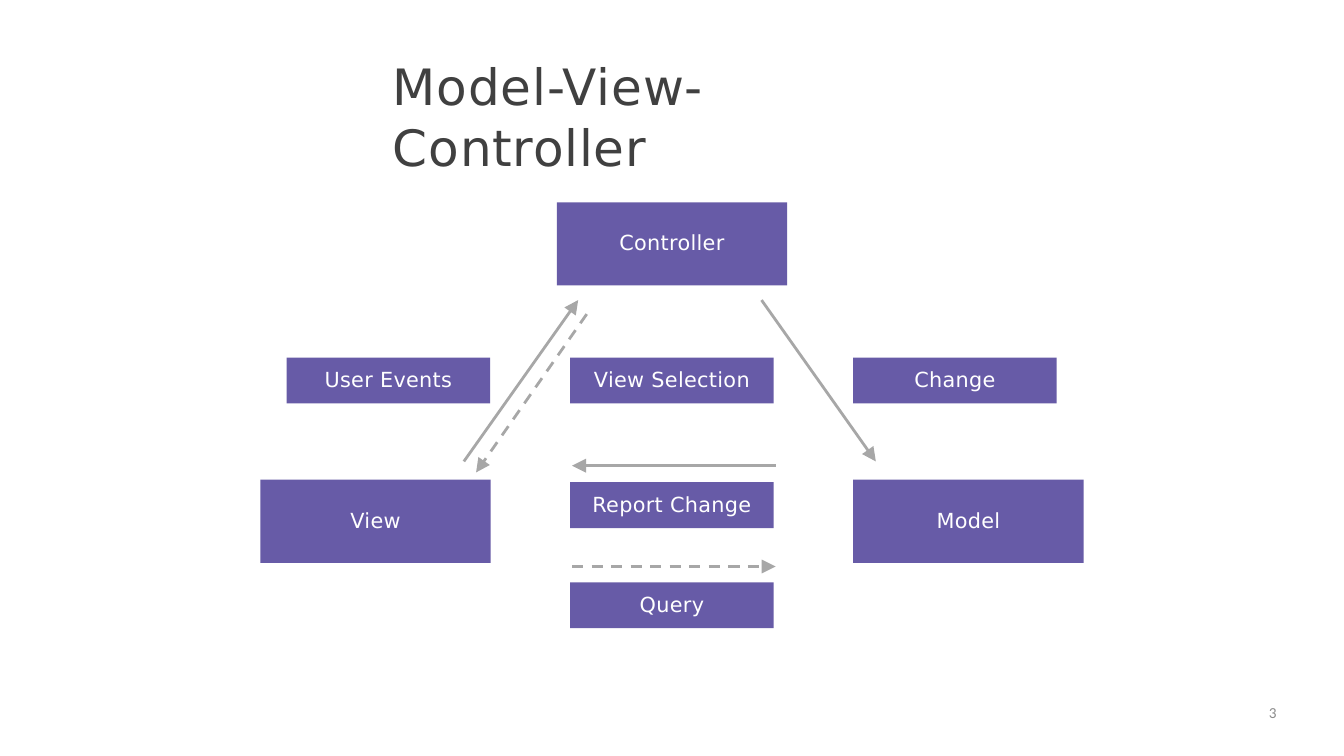
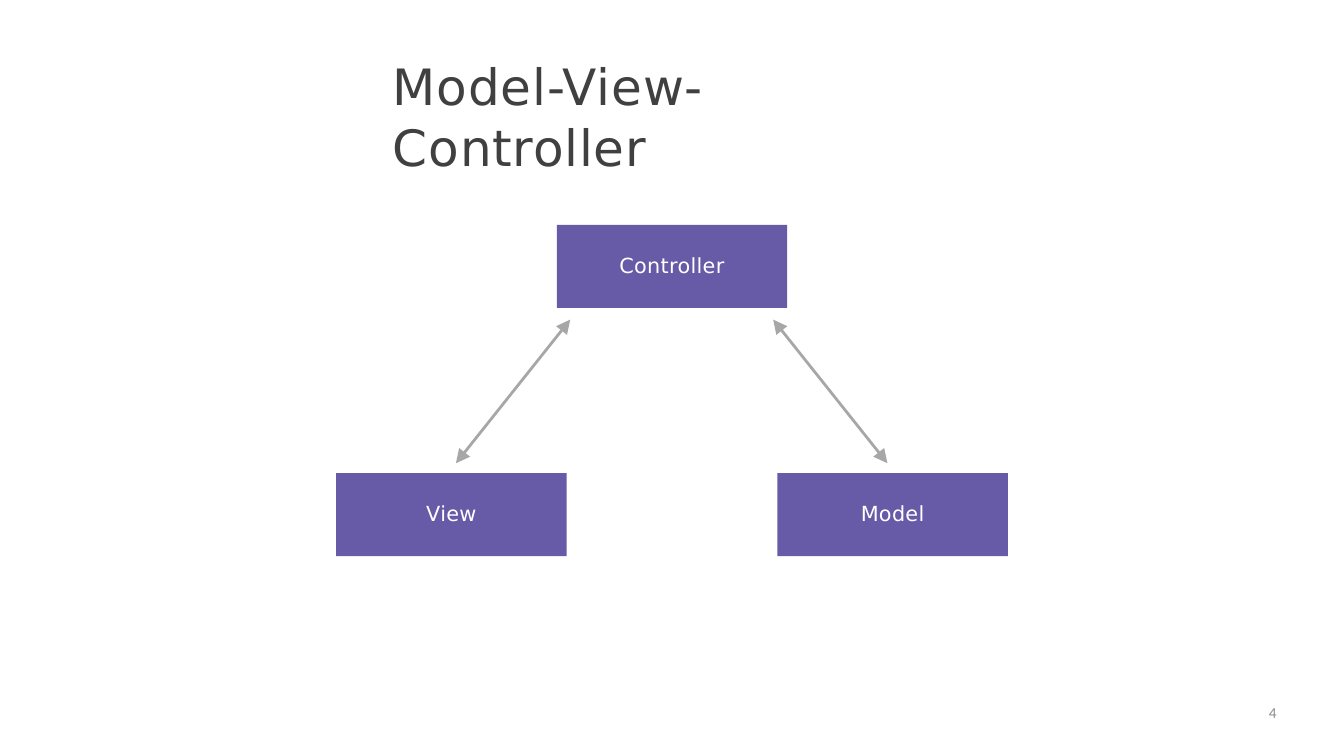
from lxml import etree
from pptx import Presentation
from pptx.dml.color import RGBColor
from pptx.enum.dml import MSO_LINE
from pptx.enum.shapes import MSO_CONNECTOR, MSO_SHAPE
from pptx.enum.text import MSO_ANCHOR, PP_ALIGN
from pptx.oxml.ns import qn
from pptx.util import Pt

SCALE = 9144
WIDE, HIGH = 2199, 1237
LEFT, CENTER, RIGHT = PP_ALIGN.LEFT, PP_ALIGN.CENTER, PP_ALIGN.RIGHT
TOP, MIDDLE = MSO_ANCHOR.TOP, MSO_ANCHOR.MIDDLE
RECT, LINE, DASH = MSO_SHAPE.RECTANGLE, MSO_CONNECTOR.STRAIGHT, MSO_LINE.DASH
NODE, LABEL = (377, 136), (333, 75)


def px(*sizes):
    return [size * SCALE for size in sizes]


def color(code):
    return RGBColor.from_string(code)


def write(shape, text, size=24.5, font="DejaVu Sans", ink="FFFFFF",
          align=CENTER, anchor=MIDDLE, foot=0, space=1.0, track=0):
    frame = shape.text_frame
    frame.word_wrap = True
    frame.vertical_anchor = anchor
    frame.margin_left = frame.margin_right = frame.margin_top = 0
    frame.margin_bottom = foot * SCALE
    para = frame.paragraphs[0]
    para.alignment = align
    para.line_spacing = space
    run = para.add_run()
    run.text = text
    run.font.size = Pt(size)
    run.font.name = font
    run.font.color.rgb = color(ink)
    run.font._element.set("spc", str(track))


class Deck:
    fill = "675BA7"
    line = "A7A7A7"
    ink = "404040"
    pale = "8C8C8C"

    def __init__(self):
        self.deck = Presentation()
        self.deck.slide_width, self.deck.slide_height = px(WIDE, HIGH)
        self.slide = None

    def page(self, title, number):
        self.slide = self.deck.slides.add_slide(self.deck.slide_layouts[6])
        self.text(title, 643, 87, 913, 102, size=59, ink=self.ink,
                  align=LEFT, space=1.03, track=90)
        self.text(str(number), 1583, 1150, 506, 62, size=18, font="Calibri",
                  ink=self.pale, align=RIGHT)

    def text(self, text, left, top, width, height, **style):
        shape = self.slide.shapes.add_textbox(*px(left, top, width, height))
        write(shape, text, anchor=TOP, **style)

    def box(self, text, left, top, size):
        shape = self.slide.shapes.add_shape(RECT, *px(left, top, *size))
        shape.shadow.inherit = False
        shape.fill.solid()
        shape.fill.fore_color.rgb = color(self.fill)
        shape.line.fill.background()
        write(shape, text, foot=4, track=40)

    def nodes(self, upper, lower, offset):
        left = (WIDE - NODE[0]) // 2
        self.box("Controller", left, upper, NODE)
        self.box("View", left - offset, lower, NODE)
        self.box("Model", left + offset, lower, NODE)

    def arrow(self, start, end, dash=False, both=False):
        link = self.slide.shapes.add_connector(LINE, *px(*start, *end))
        link.line.color.rgb = color(self.line)
        link.line.width = Pt(3.3)
        if dash:
            link.line.dash_style = DASH
        props = link._element.spPr
        stroke = props.find(qn("a:ln"))
        for tag in ("a:headEnd", "a:tailEnd") if both else ("a:tailEnd",):
            etree.SubElement(stroke, qn(tag), type="triangle", w="lg", len="lg")
        etree.SubElement(props, qn("a:effectLst"))

    def save(self):
        self.deck.save("out.pptx")


def main():
    deck = Deck()
    title = "Model-View-Controller"

    deck.page(title, 3)
    deck.nodes(331, 785, 485)
    for text, left, top in (
        ("User Events", 469, 585),
        ("View Selection", 933, 585),
        ("Change", 1396, 585),
        ("Report Change", 933, 789),
        ("Query", 933, 953),
    ):
        deck.box(text, left, top, LABEL)
    for start, end, dash in (
        ((1246, 491), (1433, 755), False),
        ((759, 755), (946, 491), False),
        ((960, 514), (779, 773), True),
        ((1269, 762), (936, 762), False),
        ((936, 927), (1269, 927), True),
    ):
        deck.arrow(start, end, dash)

    deck.page(title, 4)
    deck.nodes(368, 774, 361)
    for side in (-1, 1):
        mid = WIDE // 2
        deck.arrow((mid + side * 166, 523), (mid + side * 353, 758), both=True)

    deck.save()


if __name__ == "__main__":
    main()
